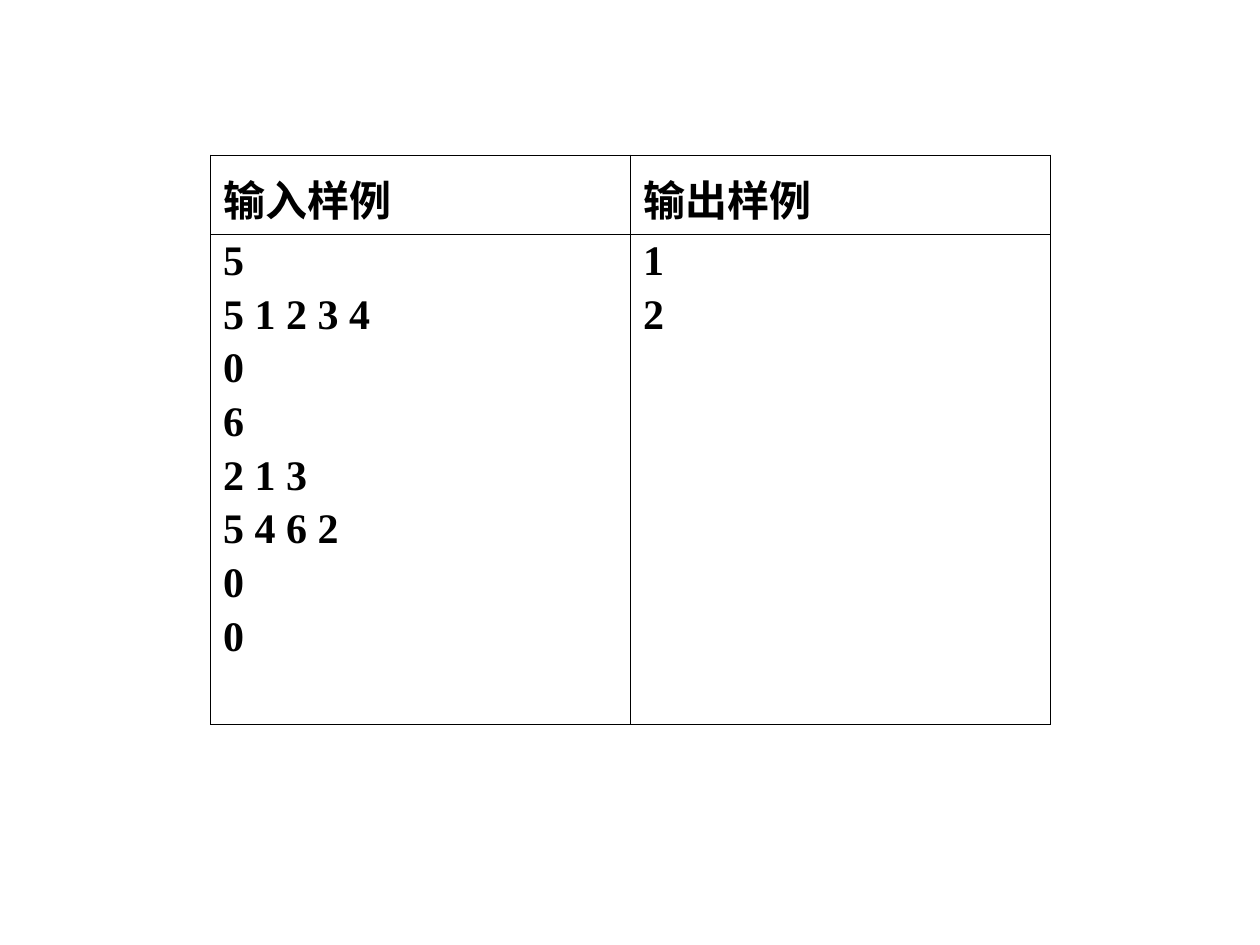
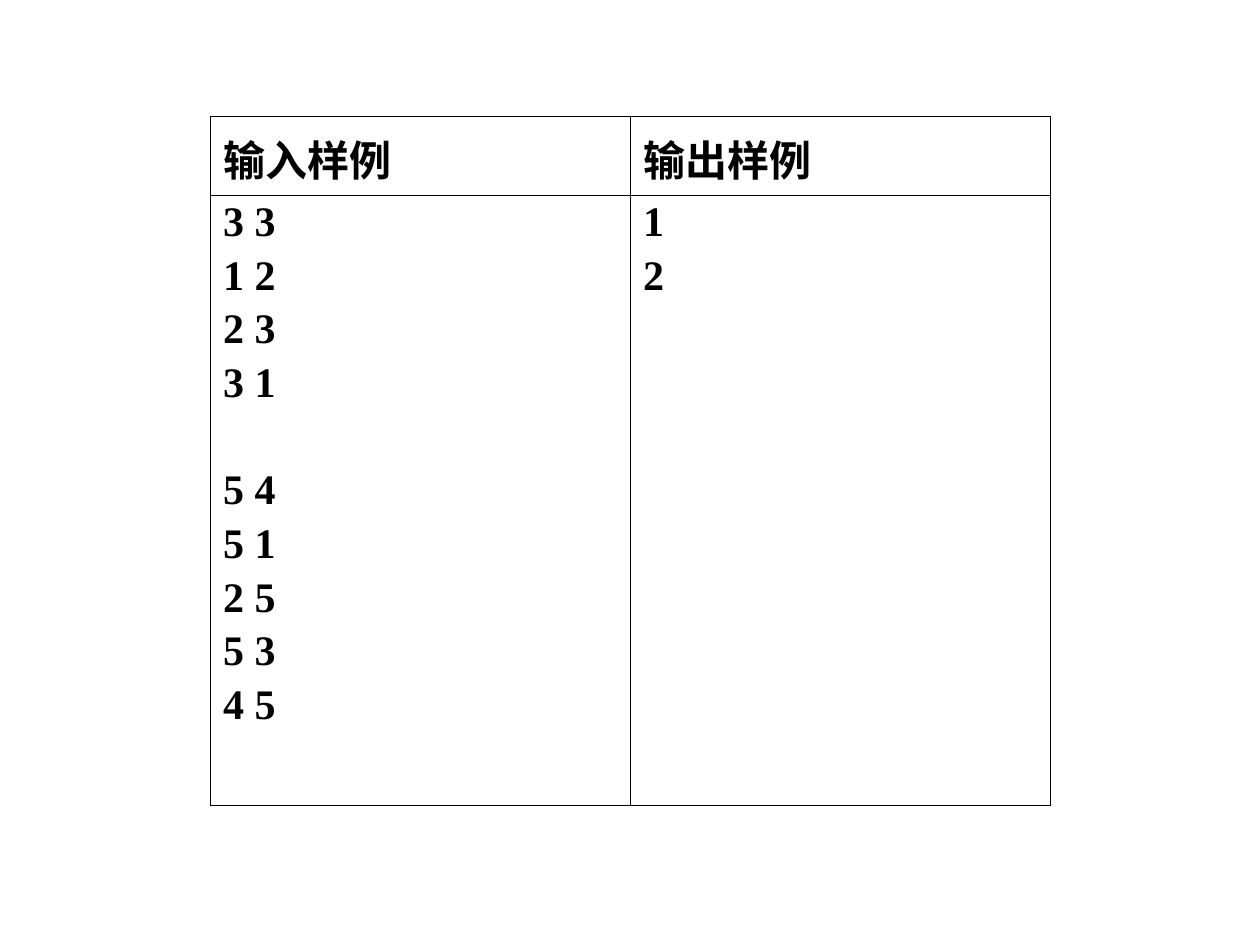
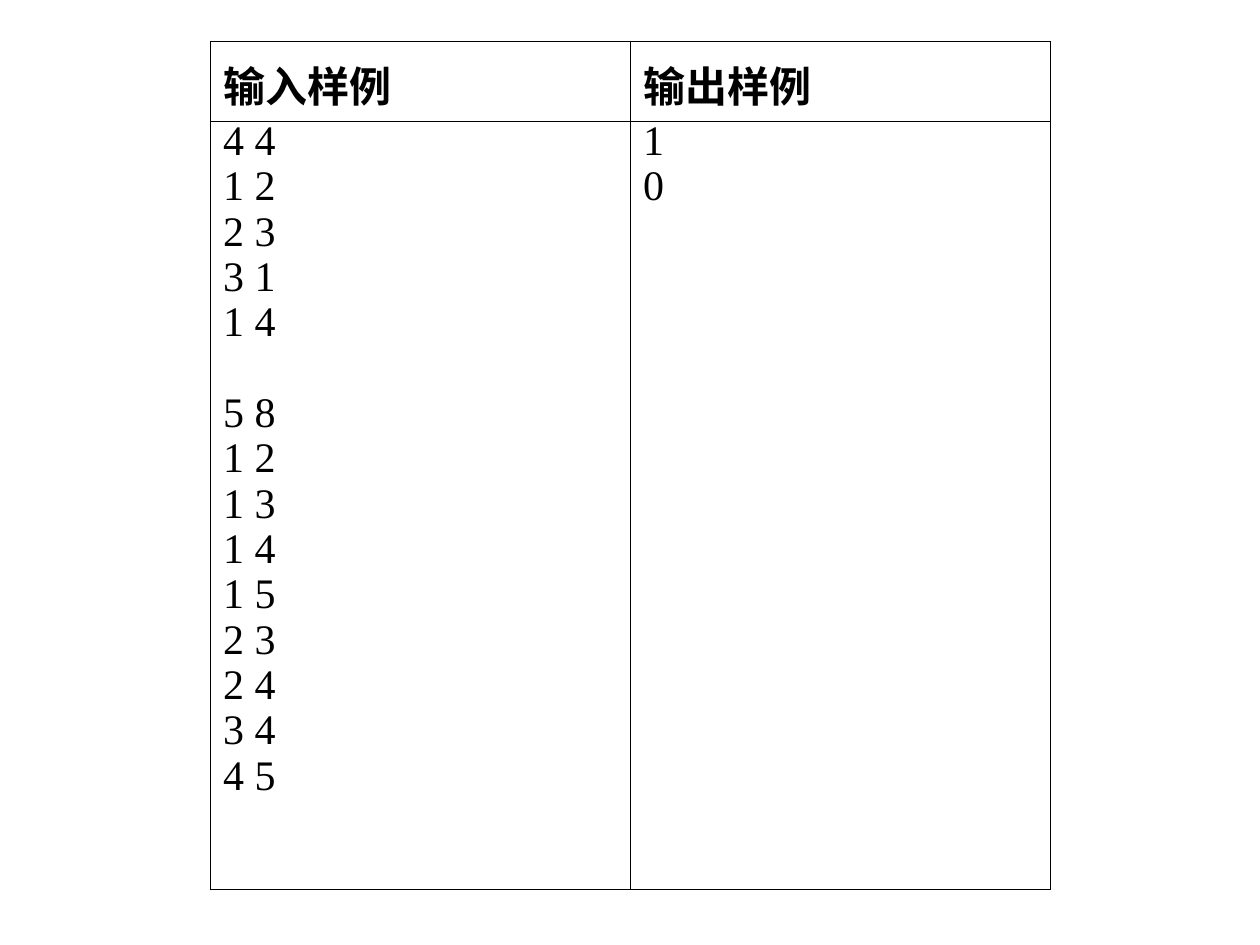
from dataclasses import dataclass

from lxml import etree
from pptx import Presentation
from pptx.dml.color import RGBColor
from pptx.enum.text import PP_ALIGN
from pptx.oxml.ns import qn
from pptx.util import Inches, Pt

LEFT, JUSTIFY = PP_ALIGN.LEFT, PP_ALIGN.JUSTIFY


@dataclass(frozen=True)
class Theme:
    ink: str = "000000"
    heading_font: str = "Noto Sans CJK SC"
    number_font: str = "Times New Roman"
    size: int = 24
    gap: int = 6
    line_factor: float = 1.11
    outer_line: float = 0.5
    inner_line: float = 0.25


THEME = Theme()
HEADINGS = ("输入样例", "输出样例")
TABLE_LEFT, TABLE_WIDTH = 1.67, 6.67

SAMPLES = [
    {
        "top": 1.23, "rows": (0.56, 3.89), "spacing": 0.93, "bold": True,
        "input": [["5", "5 1 2 3 4", "0", "6", "2 1 3", "5 4 6 2", "0", "0"]],
        "output": [["1", "2"]],
    },
    {
        "top": 0.92, "rows": (0.54, 4.84), "spacing": 0.93, "bold": True,
        "input": [["3 3", "1 2", "2 3", "3 1"],
                  ["5 4", "5 1", "2 5", "5 3", "4 5"]],
        "output": [["1", "2"]],
    },
    {
        "top": 0.33, "rows": (0.54, 6.1), "spacing": 0.75, "bold": False,
        "input": [["4 4", "1 2", "2 3", "3 1", "1 4"],
                  ["5 8", "1 2", "1 3", "1 4", "1 5", "2 3", "2 4", "3 4", "4 5"]],
        "output": [["1", "0"]],
    },
]


def write_groups(cell, groups, *, font, bold, spacing, align):
    blank_line = THEME.size * THEME.line_factor * spacing + THEME.gap
    frame = cell.text_frame
    para = frame.paragraphs[0]
    for group_index, group in enumerate(groups):
        for line_index, text in enumerate(group):
            if group_index or line_index:
                para = frame.add_paragraph()
                starts_group = line_index == 0
                para.space_before = Pt(THEME.gap + blank_line * starts_group)
            para.alignment = align
            para.line_spacing = spacing
            span = para.add_run()
            span.text = text
            span.font.name = font
            span.font.size = Pt(THEME.size)
            span.font.bold = bold
            span.font.color.rgb = RGBColor.from_string(THEME.ink)
            east_asian = etree.SubElement(span.font._element, qn("a:ea"))
            east_asian.set("typeface", font)


def draw_borders(cell, row, column):
    properties = cell._tc.get_or_add_tcPr()
    outer_sides = {"lnL": column == 0, "lnR": column == 1,
                   "lnT": row == 0, "lnB": row == 1}
    for position, (side, is_outer) in enumerate(outer_sides.items()):
        line = etree.Element(qn(f"a:{side}"))
        line.set("w", str(Pt(THEME.outer_line if is_outer else THEME.inner_line)))
        fill = etree.SubElement(line, qn("a:solidFill"))
        etree.SubElement(fill, qn("a:srgbClr")).set("val", THEME.ink)
        properties.insert(position, line)


deck = Presentation()
deck.slide_width, deck.slide_height = Inches(10), Inches(7.5)

for sample in SAMPLES:
    page = deck.slides.add_slide(deck.slide_layouts[6])
    table = page.shapes.add_table(
        2, 2, Inches(TABLE_LEFT), Inches(sample["top"]),
        Inches(TABLE_WIDTH), Inches(sum(sample["rows"]))).table
    table.first_row = False
    table.horz_banding = False
    for row, height in enumerate(sample["rows"]):
        table.rows[row].height = Inches(height)

    for column, (heading, key) in enumerate(zip(HEADINGS, ("input", "output"))):
        write_groups(table.cell(0, column), [[heading]], font=THEME.heading_font,
                     bold=True, spacing=1.1, align=JUSTIFY)
        write_groups(table.cell(1, column), sample[key], font=THEME.number_font,
                     bold=sample["bold"], spacing=sample["spacing"],
                     align=JUSTIFY if key == "input" else LEFT)
        for row in range(2):
            cell = table.cell(row, column)
            cell.fill.background()
            draw_borders(cell, row, column)

deck.save("out.pptx")
